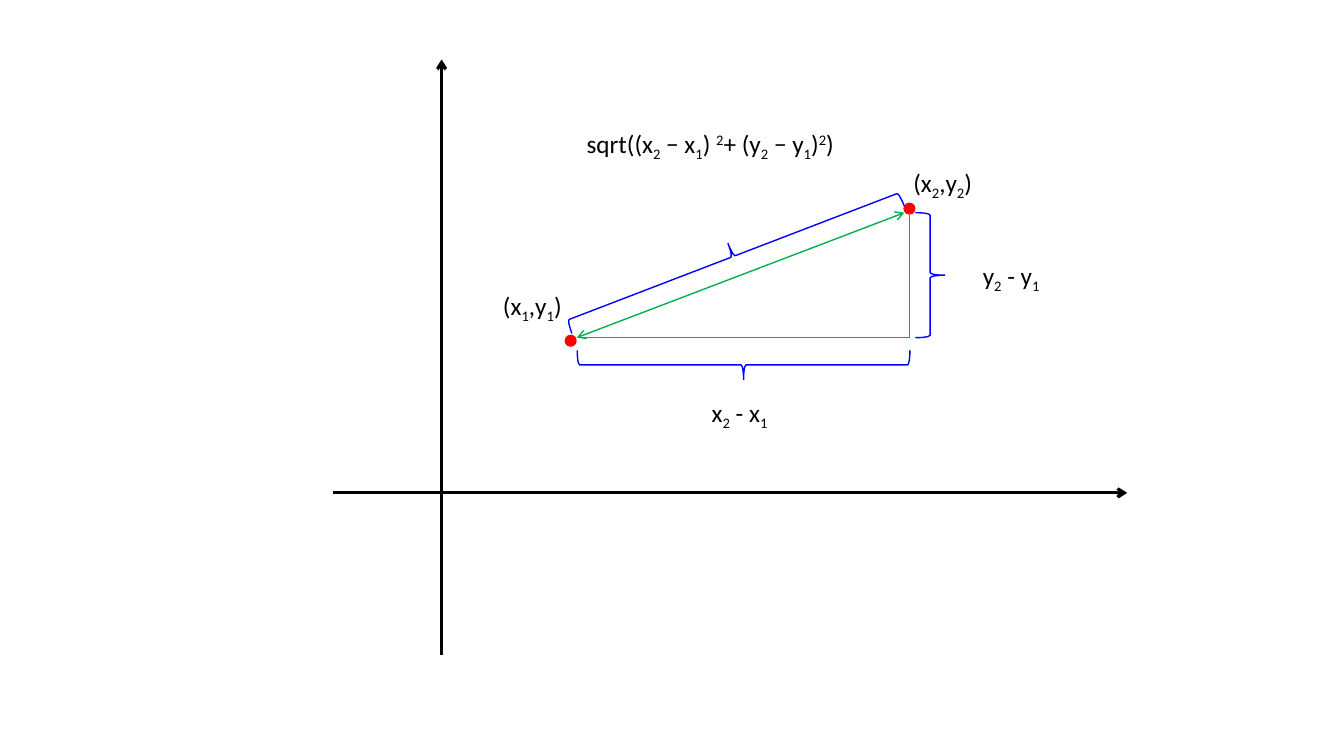
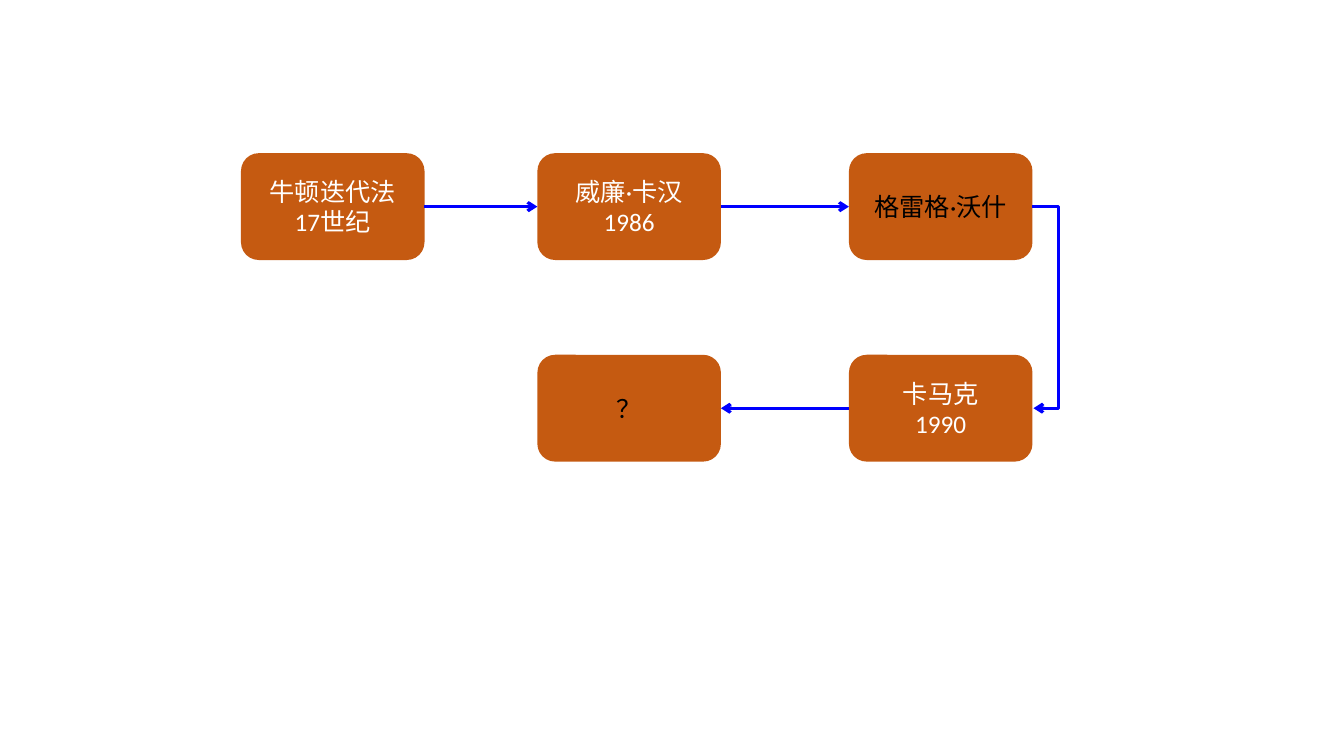
"""Build two slides: the distance between two points, and a timeline of a method."""
from lxml.etree import SubElement
from pptx import Presentation
from pptx.dml.color import RGBColor
from pptx.enum.shapes import MSO_CONNECTOR, MSO_SHAPE
from pptx.enum.text import MSO_ANCHOR, PP_ALIGN
from pptx.oxml.ns import qn
from pptx.util import Pt

PX = 9144
FONT = "Calibri"
BLACK = RGBColor(0x00, 0x00, 0x00)
WHITE = RGBColor(0xFF, 0xFF, 0xFF)
RED = RGBColor(0xFF, 0x00, 0x00)
GREEN = RGBColor(0x00, 0xB0, 0x50)
BLUE = RGBColor(0x00, 0x00, 0xFF)
BROWN = RGBColor(0xC5, 0x5A, 0x11)
LEFT, RIGHT = 1, 3
BASE = {"_": "-25000", "^": "30000"}


def px(*nums):
    """Turn lengths in px into EMU."""
    return [num * PX for num in nums]


def style(para, color):
    """Give a paragraph the shared font."""
    para.font.name = FONT
    para.font.size = Pt(18)
    para.font.color.rgb = color


def link(slide, ends, color, width, heads=(), kind=MSO_CONNECTOR.STRAIGHT):
    """Draw a line between two points, with arrows at the named ends."""
    line = slide.shapes.add_connector(kind, *px(*ends))
    line.line.color.rgb = color
    line.line.width = Pt(width)
    props = line._element.spPr
    for head in heads:
        SubElement(props.find(qn("a:ln")), qn(f"a:{head}")).set("type", "arrow")
    SubElement(props, qn("a:effectLst"))
    return line


def form(slide, kind, box, fill=None):
    """Add a preset shape without shadow or outline."""
    shape = slide.shapes.add_shape(kind, *px(*box))
    shape.shadow.inherit = False
    if fill is None:
        shape.fill.background()
    else:
        shape.fill.solid()
        shape.fill.fore_color.rgb = fill
    shape.line.fill.background()
    return shape


def brace(slide, box, turn):
    """Add a turned blue brace."""
    shape = form(slide, MSO_SHAPE.LEFT_BRACE, box)
    shape.rotation = turn
    shape.line.color.rgb = BLUE
    shape.line.width = Pt(1)


def label(slide, left, top, width, text):
    """Write a formula whose parts split at bars, with _ for sub and ^ for super."""
    frame = slide.shapes.add_textbox(*px(left, top, width, 40)).text_frame
    frame.word_wrap = True
    para = frame.paragraphs[0]
    style(para, BLACK)
    for part in text.split("|"):
        run = para.add_run()
        run.text = part.lstrip("_^")
        if part[0] in BASE:
            run._r.get_or_add_rPr().set("baseline", BASE[part[0]])


def axes(slide, left, top, width, height):
    """Draw the two axes in a box."""
    up, flat = left + 108, top + 430
    for ends in ((up, top + height, up, top), (left, flat, left + width, flat)):
        link(slide, ends, BLACK, 2.25, ["tailEnd"])


def angle(slide, left, top, width, height):
    """Draw the right triangle in a box, with its points, braces and labels."""
    right, base = left + width, top + height
    for x, y in ((right - 6, top - 10), (left - 12, base - 3)):
        form(slide, MSO_SHAPE.OVAL, (x, y, 12, 12), RED)
    link(slide, (left, base, right - 5, top), GREEN, 1, ["headEnd", "tailEnd"])
    link(slide, (left, base, right, base), GREEN, 1)
    link(slide, (right, top, right, base), GREEN, 1)
    brace(slide, (left + 151, base - 138, 29, width), 270)
    brace(slide, (right + 6, top, 29, height), 180)
    brace(slide, (left + 141, top - 133, 28, 353), 69)
    label(slide, left - 83, base - 52, 83, "(x|_1|,y|_1|)")
    label(slide, right - 6, top - 50, 83, "(x|_2|,y|_2|)")
    label(slide, left + 124, base + 54, 97, "x|_2| - x|_1")
    label(slide, right + 63, top + 42, 97, "y|_2| - y|_1")
    label(slide, left, top - 89, 294,
          "sqrt((x|_2| − x|_1|) |^2|+ (y|_2| − y|_1|)|^2|)")


def card(slide, left, top, lines, color):
    """Add one rounded step of the timeline."""
    shape = form(slide, MSO_SHAPE.ROUNDED_RECTANGLE, (left, top, 182, 106), BROWN)
    frame = shape.text_frame
    frame.word_wrap = True
    frame.vertical_anchor = MSO_ANCHOR.MIDDLE
    frame.text = "\n".join(lines)
    for para in frame.paragraphs:
        para.alignment = PP_ALIGN.CENTER
        style(para, color)
    return shape


def join(slide, start, end, sides, kind=MSO_CONNECTOR.STRAIGHT):
    """Join two cards with a blue arrow."""
    line = link(slide, (0, 0, 1, 1), BLUE, 2.25, ["tailEnd"], kind)
    line.begin_connect(start, sides[0])
    line.end_connect(end, sides[1])
    return line


def turn(slide, start, end, reach):
    """Join the right sides of two cards by an elbow that reaches out."""
    line = join(slide, start, end, (RIGHT, RIGHT), MSO_CONNECTOR.ELBOW)
    line.end_x = line.begin_x + PX
    marks = line._element.spPr.find(qn("a:prstGeom")).find(qn("a:avLst"))
    mark = SubElement(marks, qn("a:gd"))
    mark.set("name", "adj1")
    mark.set("fmla", f"val {reach * 100000}")


def flow(slide, left, top):
    """Lay out the timeline from its top left corner."""
    cols, rows = (left, left + 294, left + 603), (top, top + 200)
    steps = (
        (0, 0, ("牛顿迭代法", "17世纪"), WHITE),
        (1, 0, ("威廉·卡汉", "1986"), WHITE),
        (2, 0, ("格雷格·沃什",), BLACK),
        (2, 1, ("卡马克", "1990"), WHITE),
        (1, 1, ("？",), BLACK),
    )
    cards = [card(slide, cols[col], rows[row], lines, color)
             for col, row, lines, color in steps]
    join(slide, cards[0], cards[1], (RIGHT, LEFT))
    join(slide, cards[1], cards[2], (RIGHT, LEFT))
    turn(slide, cards[2], cards[3], 26)
    join(slide, cards[3], cards[4], (LEFT, RIGHT))


def main():
    """Build and save the deck."""
    deck = Presentation()
    deck.slide_width, deck.slide_height = px(1333, 750)
    blank = deck.slide_layouts[6]
    graph = deck.slides.add_slide(blank)
    axes(graph, 330, 59, 788, 591)
    angle(graph, 572, 211, 330, 124)
    flow(deck.slides.add_slide(blank), 239, 152)
    deck.save("out.pptx")


if __name__ == "__main__":
    main()
